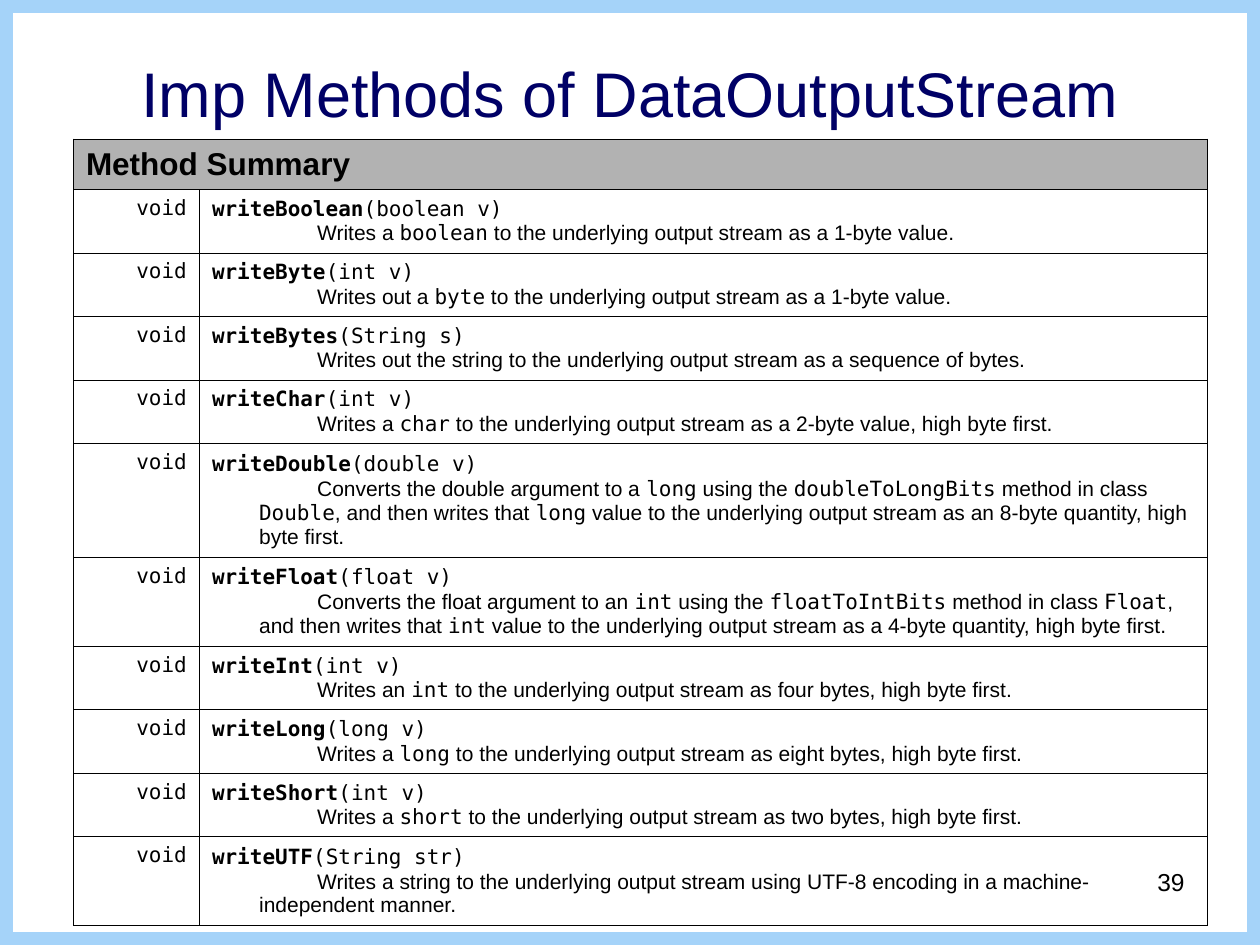
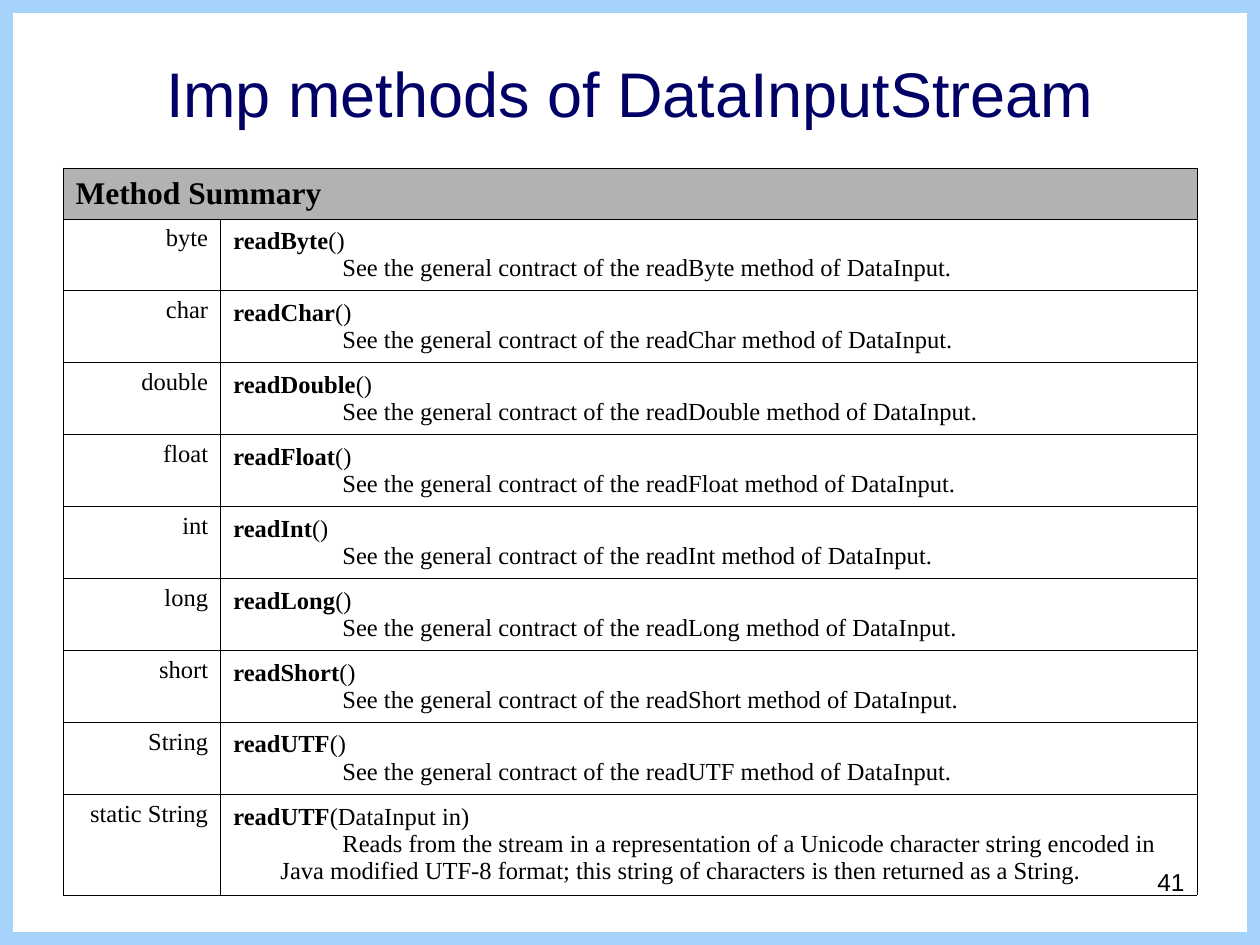
from lxml import etree
from pptx import Presentation
from pptx.dml.color import RGBColor
from pptx.enum.shapes import MSO_SHAPE
from pptx.enum.text import MSO_ANCHOR, MSO_AUTO_SIZE, PP_ALIGN
from pptx.oxml.ns import qn
from pptx.util import Cm, Pt

LEFT, CENTER, RIGHT = PP_ALIGN.LEFT, PP_ALIGN.CENTER, PP_ALIGN.RIGHT
TOP, MIDDLE = MSO_ANCHOR.TOP, MSO_ANCHOR.MIDDLE
COLORS = {"frame": "A5D3F9", "title": "000066", "text": "000000",
          "header": "B2B2B2", "cell": "FFFFFF"}
SANS, MONO, SERIF = "Arial", "DejaVu Sans Mono", "Times New Roman"
HEADING = "Method Summary"

# Methods: return type, name, arguments, description (`code` in backticks), description lines
WRITE_METHODS = [
    ("void", "writeBoolean", "(boolean v)",
     "Writes a `boolean` to the underlying output stream as a 1-byte value.", 1),
    ("void", "writeByte", "(int v)",
     "Writes out a `byte` to the underlying output stream as a 1-byte value.", 1),
    ("void", "writeBytes", "(String s)",
     "Writes out the string to the underlying output stream as a sequence of bytes.", 1),
    ("void", "writeChar", "(int v)",
     "Writes a `char` to the underlying output stream as a 2-byte value, high byte first.", 1),
    ("void", "writeDouble", "(double v)",
     "Converts the double argument to a `long` using the `doubleToLongBits` method in class "
     "`Double`, and then writes that `long` value to the underlying output stream as an "
     "8-byte quantity, high byte first.", 3),
    ("void", "writeFloat", "(float v)",
     "Converts the float argument to an `int` using the `floatToIntBits` method in class "
     "`Float`, and then writes that `int` value to the underlying output stream as a "
     "4-byte quantity, high byte first.", 2),
    ("void", "writeInt", "(int v)",
     "Writes an `int` to the underlying output stream as four bytes, high byte first.", 1),
    ("void", "writeLong", "(long v)",
     "Writes a `long` to the underlying output stream as eight bytes, high byte first.", 1),
    ("void", "writeShort", "(int v)",
     "Writes a `short` to the underlying output stream as two bytes, high byte first.", 1),
    ("void", "writeUTF", "(String str)",
     "Writes a string to the underlying output stream using UTF-8 encoding in a "
     "machine-independent manner.", 2),
]
READ_TYPES = [("byte", "readByte"), ("char", "readChar"), ("double", "readDouble"),
              ("float", "readFloat"), ("int", "readInt"), ("long", "readLong"),
              ("short", "readShort"), ("String", "readUTF")]
READ_METHODS = [
    (kind, name, "()", f"See the general contract of the {name} method of DataInput.", 1)
    for kind, name in READ_TYPES
] + [
    ("static String", "readUTF", "(DataInput in)",
     "Reads from the stream in a representation of a Unicode character string encoded in "
     "Java modified UTF-8 format; this string of characters is then returned as a String.", 2),
]

# Per-slide content and table measures in cm (row height = padding + line * lines)
SLIDES = [
    {"title": "Imp Methods of DataOutputStream", "number": "39", "methods": WRITE_METHODS,
     "text_font": SANS, "code_font": MONO, "size": 12, "border": 0.45,
     "at": (1.48, 2.8), "columns": (2.54, 20.32),
     "padding": 0.26, "line": 0.51, "first_line": 1.17},
    {"title": "Imp methods of DataInputStream", "number": "41", "methods": READ_METHODS,
     "text_font": SERIF, "code_font": SERIF, "size": 14, "border": 0.34,
     "at": (1.27, 3.39), "columns": (3.18, 19.68),
     "padding": 0.29, "line": 0.58, "first_line": 1.25},
]
HEADER_HEIGHT, HANGING = 1.02, 0.95


def apply(target, values):
    for name, value in values.items():
        setattr(target, name, value)


def place(shape, *box):
    apply(shape, dict(zip(("left", "top", "width", "height"), map(Cm, box))))


def add_run(paragraph, text, font, size, color="text", bold=False):
    run = paragraph.add_run()
    run.text = text
    apply(run.font, {"name": font, "size": Pt(size), "bold": bold})
    run.font.color.rgb = RGBColor.from_string(COLORS[color])


def format_cell(cell, fill, border, anchor=MIDDLE, align=LEFT):
    cell.fill.solid()
    cell.fill.fore_color.rgb = RGBColor.from_string(COLORS[fill])
    cell.vertical_anchor = anchor
    cell.text_frame.paragraphs[0].alignment = align
    properties = cell._tc.get_or_add_tcPr()
    for position, side in enumerate(("a:lnL", "a:lnR", "a:lnT", "a:lnB")):
        edge = etree.Element(qn(side), w=str(int(Pt(border))))
        solid = etree.SubElement(edge, qn("a:solidFill"))
        etree.SubElement(solid, qn("a:srgbClr"), val=COLORS["text"])
        properties.insert(position, edge)
    return cell.text_frame


def add_methods(slide, page):
    methods, border, size = page["methods"], page["border"], page["size"]
    text_font, code_font = page["text_font"], page["code_font"]
    heights = [HEADER_HEIGHT] + [page["padding"] + page["line"] * (1 + method[-1])
                                 for method in methods]
    table = slide.shapes.add_table(
        len(heights), 2, *map(Cm, page["at"]),
        Cm(sum(page["columns"])), Cm(sum(heights))).table
    table.horz_banding = False
    for column, width in zip(table.columns, page["columns"]):
        column.width = Cm(width)
    for row, height in zip(table.rows, heights):
        row.height = Cm(height)

    # Heading across both columns
    table.cell(0, 0).merge(table.cell(0, 1))
    heading, _ = [format_cell(table.cell(0, col), "header", border) for col in range(2)]
    add_run(heading.paragraphs[0], HEADING, text_font, 18, bold=True)

    for row, (kind, name, arguments, description, _) in enumerate(methods, 1):
        result = format_cell(table.cell(row, 0), "cell", border, TOP, RIGHT)
        add_run(result.paragraphs[0], kind, code_font, size)

        # Signature, then the indented description
        details = format_cell(table.cell(row, 1), "cell", border)
        signature, explanation = details.paragraphs[0], details.add_paragraph()
        add_run(signature, name, code_font, size, bold=True)
        add_run(signature, arguments, code_font, size)
        indents = explanation._p.get_or_add_pPr()
        for key, value in {"marL": HANGING, "indent": page["first_line"]}.items():
            indents.set(key, str(int(Cm(value))))
        for part, text in enumerate(description.split("`")):
            if text:
                add_run(explanation, text, code_font if part % 2 else text_font, size)


def add_frame(prs, slide):
    """Draw the border and move it to the master, behind everything."""
    frame = slide.shapes.add_shape(MSO_SHAPE.RECTANGLE, 0, 0, prs.slide_width, prs.slide_height)
    frame.shadow.inherit = False
    frame.fill.background()
    frame.line.color.rgb = RGBColor.from_string(COLORS["frame"])
    frame.line.width = Pt(15)
    prs.slide_master.shapes._spTree.insert(2, frame._element)


def add_page(prs, page):
    slide = prs.slides.add_slide(prs.slide_layouts[5])

    # Title
    title = slide.shapes.title
    place(title, 1.27, 0.76, 22.86, 2.21)
    apply(title.text_frame, {"vertical_anchor": MIDDLE, "word_wrap": True,
                             "auto_size": MSO_AUTO_SIZE.NONE})
    title.text_frame.paragraphs[0].alignment = CENTER
    add_run(title.text_frame.paragraphs[0], page["title"], SANS, 36, "title")

    add_methods(slide, page)

    # Page number
    number = slide.shapes.add_textbox(*map(Cm, (18.21, 17.35, 5.92, 1.32))).text_frame
    number.word_wrap = True
    number.paragraphs[0].alignment = RIGHT
    add_run(number.paragraphs[0], page["number"], SANS, 14)
    return slide


def main():
    prs = Presentation()
    apply(prs, {"slide_width": Cm(25.4), "slide_height": Cm(19.05)})
    pages = [add_page(prs, page) for page in SLIDES]
    add_frame(prs, pages[0])
    prs.save("out.pptx")


if __name__ == "__main__":
    main()
